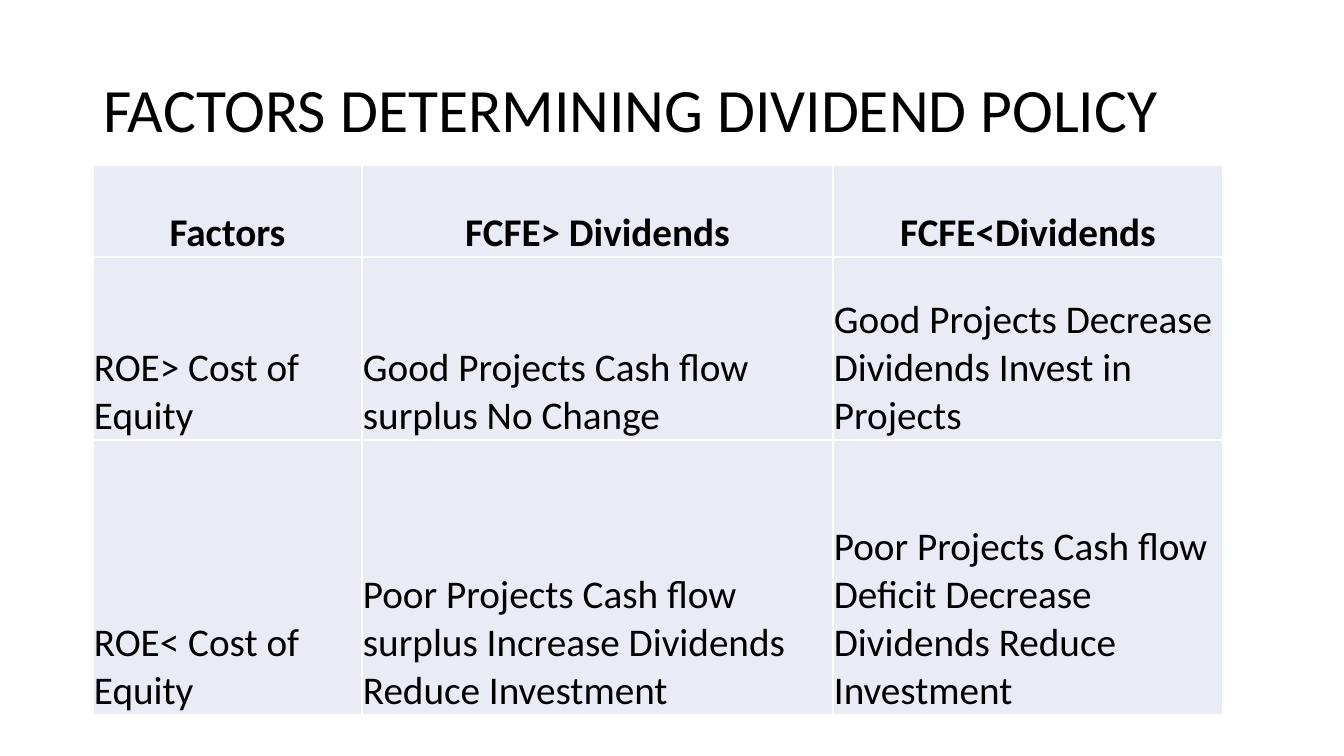
from lxml import etree
from pptx import Presentation
from pptx import util as u
from pptx.dml.color import RGBColor
from pptx.enum import text
from pptx.oxml.ns import qn

BLACK = RGBColor(0x00, 0x00, 0x00)
WHITE = RGBColor(0xFF, 0xFF, 0xFF)
PALE_BLUE = RGBColor(0xE9, 0xEB, 0xF5)
EMU_PER_PX = 914400 / 100.8
TITLE_ONLY = 5

POLICY_ROWS = [
    ["Factors", "FCFE> Dividends", "FCFE<Dividends"],
    ["ROE> Cost of Equity",
     "Good Projects Cash flow surplus No Change",
     "Good Projects Decrease Dividends Invest in Projects"],
    ["ROE< Cost of Equity",
     "Poor Projects Cash flow surplus Increase Dividends Reduce Investment",
     "Poor Projects Cash flow Deficit Decrease Dividends Reduce Investment"],
]


def px(length):
    return u.Emu(round(length * EMU_PER_PX))


def write(frame, words, size, font="Calibri", color=BLACK, bold=False,
          align=text.PP_ALIGN.LEFT, line_spacing=1.0):
    paragraph = frame.paragraphs[0]
    paragraph.alignment = align
    paragraph.line_spacing = line_spacing
    run = paragraph.add_run()
    run.text = words
    run.font.name = font
    run.font.size = u.Pt(size)
    run.font.bold = bold
    run.font.color.rgb = color


class SlideBuilder:
    def __init__(self, deck):
        self.slide = deck.slides.add_slide(deck.slide_layouts[TITLE_ONLY])
        self.title_size = 44
        self.cell_size = 28
        self.border_width = u.Pt(1)

    def title(self, words, left, top, width, height):
        heading = self.slide.shapes.title
        heading.left, heading.top = px(left), px(top)
        heading.width, heading.height = px(width), px(height)
        frame = heading.text_frame
        frame.word_wrap = True
        frame.auto_size = text.MSO_AUTO_SIZE.NONE
        frame.vertical_anchor = text.MSO_ANCHOR.MIDDLE
        write(frame, words, self.title_size, line_spacing=0.9)

    def table(self, rows, left, top, widths, heights):
        grid = self.slide.shapes.add_table(
            len(rows), len(widths), px(left), px(top),
            px(sum(widths)), px(sum(heights))).table
        for column, width in zip(grid.columns, widths):
            column.width = px(width)
        for row, height in zip(grid.rows, heights):
            row.height = px(height)
        for r, row in enumerate(rows):
            for c, words in enumerate(row):
                self.cell(grid.cell(r, c), words, is_header=r == 0)

    def cell(self, cell, words, is_header):
        cell.margin_left = cell.margin_right = cell.margin_top = px(1)
        cell.margin_bottom = 0
        cell.vertical_anchor = text.MSO_ANCHOR.BOTTOM
        self.borders(cell)
        cell.fill.solid()
        cell.fill.fore_color.rgb = PALE_BLUE
        align = text.PP_ALIGN.CENTER if is_header else text.PP_ALIGN.LEFT
        write(cell.text_frame, words, self.cell_size, bold=is_header, align=align)

    def borders(self, cell):
        properties = cell._tc.get_or_add_tcPr()
        for side in ("a:lnL", "a:lnR", "a:lnT", "a:lnB"):
            line = etree.SubElement(properties, qn(side), w=str(self.border_width))
            fill = etree.SubElement(line, qn("a:solidFill"))
            etree.SubElement(fill, qn("a:srgbClr"), val=str(WHITE))


def main():
    deck = Presentation()
    deck.slide_width, deck.slide_height = px(1344), px(756)
    policy = SlideBuilder(deck)
    policy.title("FACTORS DETERMINING DIVIDEND POLICY", 93, 40, 1159, 146)
    policy.table(POLICY_ROWS, 93, 165, widths=[269, 471, 390],
                 heights=[92, 183, 275])
    deck.save("out.pptx")


if __name__ == "__main__":
    main()
